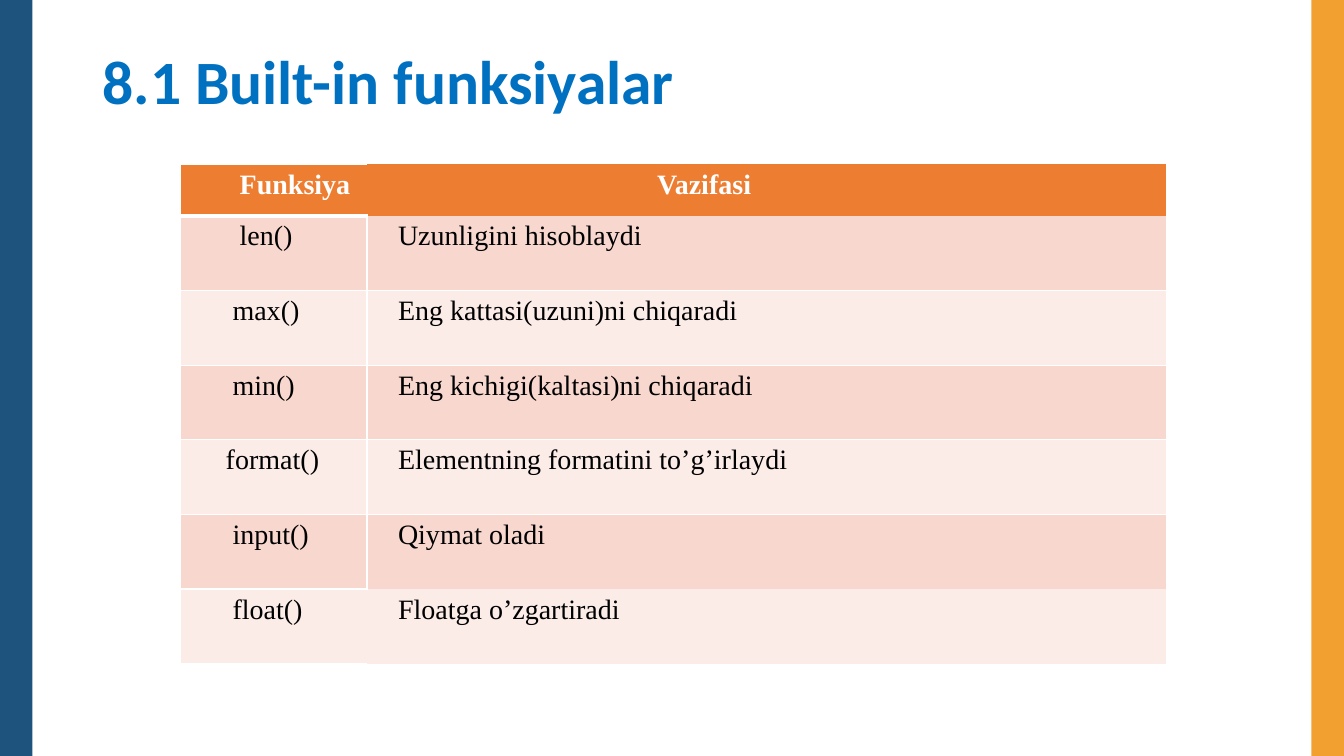
from lxml import etree
from pptx import Presentation
from pptx.dml.color import RGBColor
from pptx.enum import shapes, text
from pptx.oxml import ns
from pptx.util import Cm, Pt

TITLE = "8.1 Built-in funksiyalar"
HEADER = ("Funksiya", "Vazifasi")
FUNCTIONS = [
    ("len()", "Uzunligini hisoblaydi"),
    ("max()", "Eng kattasi(uzuni)ni chiqaradi"),
    ("min()", "Eng kichigi(kaltasi)ni chiqaradi"),
    ("format()", "Elementning formatini to’g’irlaydi"),
    ("input()", "Qiymat oladi"),
    ("float()", "Floatga o’zgartiradi"),
]
NAME_INDENTS = [1.49, 1.49, 1.31, 1.31, 1.14, 1.31, 1.31]
HEADER_INDENT, TASK_INDENT = 7.31, 0.78
COLUMNS = (4.7, 20.14)
HEADER_HEIGHT, ROW_HEIGHT = 1.3, 1.88
WIDTH, HEIGHT, BAND = 33.87, 19.05, 0.82
BANDS = [(0, "1D537C"), (WIDTH - BAND, "F2A130")]
ROW_FILLS = ("FCECE8", "F8D7CE")


def color(value):
    return RGBColor.from_string(value)


def style(p, font, size, value, bold):
    for r in p.runs:
        r.font.name = font
        r.font.size = Pt(size)
        r.font.bold = bold
        r.font.color.rgb = color(value)


def border_widths(row, col, last):
    if col == 0:
        return {
            "L": 1,
            "R": 1 if 0 < row < last else 0,
            "T": 3 if row == 1 else 1,
            "B": 3 if row == 0 else 1,
        }
    inner = 0 < row < last
    return {
        "L": int(inner),
        "R": int(inner),
        "T": int(1 < row < last),
        "B": int(0 < row < last - 1),
    }


def set_borders(cell, widths):
    tcPr = cell._tc.get_or_add_tcPr()
    for side, width in widths.items():
        ln = etree.SubElement(tcPr, ns.qn("a:ln" + side))
        if width:
            ln.set("w", str(Pt(width)))
            fill = etree.SubElement(ln, ns.qn("a:solidFill"))
            etree.SubElement(fill, ns.qn("a:srgbClr")).set("val", "FFFFFF")
        else:
            etree.SubElement(ln, ns.qn("a:noFill"))


def add_title(s):
    sp = s.shapes.title
    sp.left, sp.top, sp.width, sp.height = Cm(2.33), Cm(0.3), Cm(29.21), Cm(3.68)
    tf = sp.text_frame
    tf.text = TITLE
    tf.vertical_anchor = text.MSO_ANCHOR.MIDDLE
    p = tf.paragraphs[0]
    p.alignment = text.PP_ALIGN.LEFT
    p.line_spacing = 0.9
    style(p, "Calibri", 44, "0070C0", True)


def add_bands(s):
    for left, value in BANDS:
        sp = s.shapes.add_shape(
            shapes.MSO_SHAPE.RECTANGLE, Cm(left), 0, Cm(BAND), Cm(HEIGHT))
        sp.shadow.inherit = False
        sp.fill.solid()
        sp.fill.fore_color.rgb = color(value)
        sp.line.fill.background()


def add_function_table(s):
    rows = [HEADER] + FUNCTIONS
    last = len(rows) - 1
    height = HEADER_HEIGHT + last * ROW_HEIGHT
    table = s.shapes.add_table(
        len(rows), len(COLUMNS), Cm(4.55), Cm(4.14), Cm(sum(COLUMNS)), Cm(height)).table
    for col, width in enumerate(COLUMNS):
        table.columns[col].width = Cm(width)
    for row, words in enumerate(rows):
        head = row == 0
        table.rows[row].height = Cm(HEADER_HEIGHT if head else ROW_HEIGHT)
        indents = (NAME_INDENTS[row], HEADER_INDENT if head else TASK_INDENT)
        for col, word in enumerate(words):
            cell = table.cell(row, col)
            set_borders(cell, border_widths(row, col, last))
            cell.fill.solid()
            cell.fill.fore_color.rgb = color("ED7D31" if head else ROW_FILLS[row % 2])
            cell.margin_left = Cm(indents[col])
            cell.text_frame.text = word
            style(cell.text_frame.paragraphs[0], "Times New Roman", 20,
                  "FFFFFF" if head else "000000", head)


def main():
    prs = Presentation()
    prs.slide_width, prs.slide_height = Cm(WIDTH), Cm(HEIGHT)
    s = prs.slides.add_slide(prs.slide_layouts[5])
    add_title(s)
    add_bands(s)
    add_function_table(s)
    prs.save("out.pptx")


if __name__ == "__main__":
    main()
